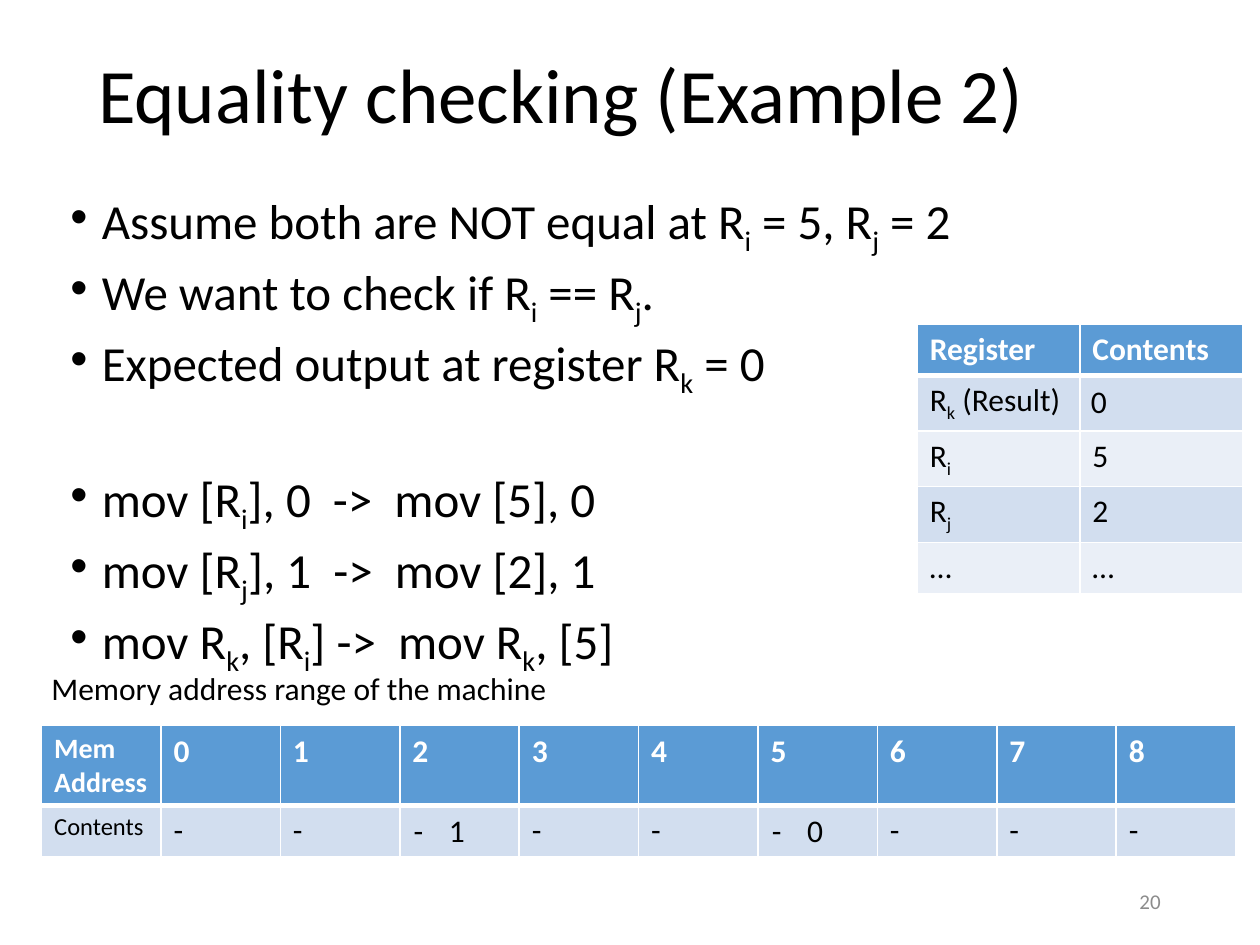
from pptx import Presentation
from pptx.dml.color import RGBColor
from pptx.enum.text import MSO_ANCHOR, MSO_AUTO_SIZE, PP_ALIGN
from pptx.oxml.ns import qn
from pptx.util import Inches, Pt
from lxml.etree import SubElement

COLORS = {"text": "000000", "number": "8C8C8C", "white": "FFFFFF",
          "header": "5B9BD5", "odd": "D2DEEF", "even": "EAEFF7"}
FONT = "Calibri"

# "_" lowers the character that follows it
BULLETS = ["Assume both are NOT equal at R_i = 5, R_j = 2",
           "We want to check if R_i == R_j.",
           "Expected output at register R_k = 0",
           "mov [R_i], 0  ->  mov [5], 0",
           "mov [R_j], 1  ->  mov [2], 1",
           "mov R_k, [R_i] ->  mov R_k, [5]"]
FIRST_INSTRUCTION = 3
REGISTERS = [["Register", "Contents"], ["R_k (Result)", ""],
             ["R_i", "5"], ["R_j", "2"], ["…", "…"]]
STORED = {2: "1", 5: "0"}
MEMORY = [["Mem Address"] + [str(address) for address in range(9)],
          ["Contents"] + ["" if address in STORED else "-" for address in range(9)]]


def write(paragraph, text, size, color="text", bold=False):
    """Fill a paragraph, lowering each character marked with "_"."""
    first, *marked = text.split("_")
    pieces = [(first, False)]
    for part in marked:
        pieces += [(part[0], True), (part[1:], False)]
    for piece, lowered in pieces:
        if not piece:
            continue
        run = paragraph.add_run()
        run.text = piece
        run.font.size, run.font.name, run.font.bold = Pt(size), FONT, bold
        run.font.color.rgb = RGBColor.from_string(COLORS[color])
        if lowered:
            run.font._element.set("baseline", "-25000")


def add_frame(slide, left, top, width, height, anchor=MSO_ANCHOR.TOP):
    box = slide.shapes.add_textbox(Inches(left), Inches(top), Inches(width), Inches(height))
    frame = box.text_frame
    frame.word_wrap = True
    frame.vertical_anchor = anchor
    return frame


def add_label(slide, text, left, top, width):
    frame = add_frame(slide, left, top, width, 0.4)
    frame.word_wrap = False
    frame.auto_size = MSO_AUTO_SIZE.SHAPE_TO_FIT_TEXT
    write(frame.paragraphs[0], text, 18)


def add_title(slide, left, top, width, height):
    paragraph = add_frame(slide, left, top, width, height, MSO_ANCHOR.MIDDLE).paragraphs[0]
    paragraph.line_spacing = 0.9
    write(paragraph, "Equality checking (Example 2)", 44)


def add_bullets(slide, left, top, width, height):
    frame = add_frame(slide, left, top, width, height)
    for index, text in enumerate(BULLETS):
        paragraph = frame.paragraphs[0] if index == 0 else frame.add_paragraph()
        paragraph.line_spacing = 0.8
        # A wider gap sets the instructions apart from the assumptions
        paragraph.space_before = Pt(47 if index == FIRST_INSTRUCTION else 10)
        properties = paragraph._p.get_or_add_pPr()
        properties.set("marL", str(Inches(0.25)))
        properties.set("indent", str(-Inches(0.25)))
        SubElement(properties, qn("a:buFont"), typeface="Arial")
        SubElement(properties, qn("a:buChar"), char="•")
        write(paragraph, text, 28)


def style_cell(cell, fill, is_header):
    properties = cell._tc.get_or_add_tcPr()
    for side in "LRTB":
        width = 3 if is_header and side == "B" else 1
        line = SubElement(properties, qn(f"a:ln{side}"), w=str(Pt(width)))
        color = SubElement(line, qn("a:solidFill"))
        SubElement(color, qn("a:srgbClr"), val=COLORS["white"])
    cell.fill.solid()
    cell.fill.fore_color.rgb = RGBColor.from_string(COLORS[fill])


def add_grid(slide, rows, left, top, column_width, row_heights, sizes=None):
    """Add a banded table; sizes maps (row, column) to special text sizes."""
    columns = len(rows[0])
    table = slide.shapes.add_table(
        len(rows), columns, Inches(left), Inches(top),
        Inches(column_width * columns), Inches(sum(row_heights))).table
    for column in table.columns:
        column.width = Inches(column_width)
    for r, texts in enumerate(rows):
        table.rows[r].height = Inches(row_heights[r])
        fill = "header" if r == 0 else ("odd" if r % 2 else "even")
        for c, text in enumerate(texts):
            cell = table.cell(r, c)
            style_cell(cell, fill, r == 0)
            write(cell.text_frame.paragraphs[0], text, (sizes or {}).get((r, c), 18),
                  "white" if r == 0 else "text", r == 0)


def add_memory(slide, left, top):
    column_width = 0.948
    add_label(slide, "Memory address range of the machine", left - 0.02, top - 0.5, 4.2)
    add_grid(slide, MEMORY, left, top, column_width, [0.63, 0.41],
             {(0, 0): 16, (1, 0): 14})
    # Values written to memory, each beside its dash
    for address, value in STORED.items():
        cell_left = left + column_width * (address + 1)
        add_label(slide, "-", cell_left + 0.01, top + 0.63, 0.28)
        add_label(slide, value, cell_left + 0.29, top + 0.63, 0.33)


def add_registers(slide, left, top):
    add_grid(slide, REGISTERS, left, top, 1.29, [0.41] * 5)
    # Result register value
    add_label(slide, "0", left + 1.28, top + 0.41, 0.33)


def add_page_number(slide, left, top, width, height):
    paragraph = add_frame(slide, left, top, width, height, MSO_ANCHOR.MIDDLE).paragraphs[0]
    paragraph.alignment = PP_ALIGN.RIGHT
    write(paragraph, "20", 12, "number")


def main():
    presentation = Presentation()
    presentation.slide_width, presentation.slide_height = Inches(10), Inches(7.5)
    slide = presentation.slides.add_slide(presentation.slide_layouts[6])
    add_title(slide, 0.68, 0.06, 8.62, 1.45)
    add_bullets(slide, 0.46, 1.51, 8.62, 3.85)
    add_memory(slide, 0.33, 5.76)
    add_registers(slide, 7.28, 2.57)
    add_page_number(slide, 7.06, 6.95, 2.25, 0.4)
    presentation.save("out.pptx")


if __name__ == "__main__":
    main()
